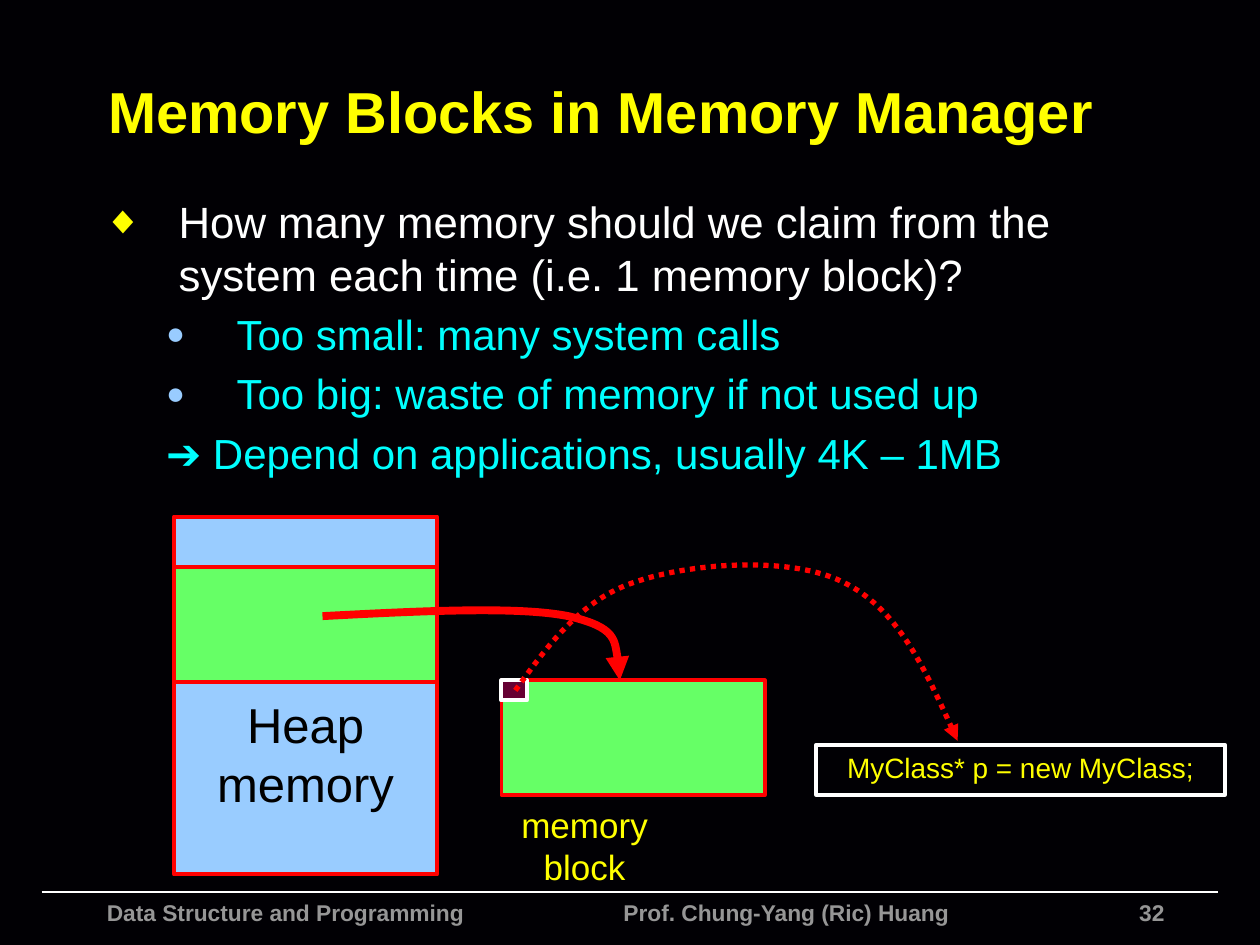
from dataclasses import dataclass

from pptx import Presentation
from pptx.dml.color import RGBColor
from pptx.enum.dml import MSO_LINE
from pptx.enum.shapes import MSO_CONNECTOR, MSO_SHAPE
from pptx.enum.text import MSO_ANCHOR as ANCHOR, PP_ALIGN as ALIGN
from pptx.oxml.ns import qn
from pptx.util import Inches, Pt
from lxml.etree import SubElement


@dataclass(frozen=True)
class Theme:
    font: str = "Arial"
    background: str = "010004"
    white: str = "FFFFFF"
    yellow: str = "FFFF00"
    cyan: str = "00FFFF"
    blue: str = "99CCFF"
    green: str = "66FF66"
    red: str = "FF0000"
    maroon: str = "660033"
    black: str = "000000"
    gray: str = "969696"
    title: int = 33
    body: int = 25
    sub: int = 24
    heap: int = 28
    label: int = 20
    code: int = 16
    footer: int = 13
    border: float = 2.25


T = Theme()


def rgb(value):
    return RGBColor.from_string(value)


def format_text(p, size, color, bold=False, align=ALIGN.LEFT):
    p.alignment = align
    for r in p.runs:
        r.font.name = T.font
        r.font.size = Pt(size)
        r.font.bold = bold
        r.font.color.rgb = rgb(color)


def set_text(sp, text, size, color, bold=False, align=ALIGN.LEFT, anchor=ANCHOR.TOP, inset=0.1):
    tf = sp.text_frame
    tf.word_wrap = True
    tf.vertical_anchor = anchor
    tf.margin_left = tf.margin_right = Inches(inset)
    tf.margin_top = tf.margin_bottom = Inches(0.05)
    tf.text = text
    for p in tf.paragraphs:
        format_text(p, size, color, bold, align)


def add_text(slide, box, text, size, color, **options):
    sp = slide.shapes.add_textbox(*map(Inches, box))
    set_text(sp, text, size, color, **options)
    return sp


def add_box(slide, box, fill, line):
    sp = slide.shapes.add_shape(MSO_SHAPE.RECTANGLE, *map(Inches, box))
    sp.shadow.inherit = False
    if fill:
        sp.fill.solid()
        sp.fill.fore_color.rgb = rgb(fill)
    else:
        sp.fill.background()
    sp.line.color.rgb = rgb(line)
    sp.line.width = Pt(T.border)
    return sp


def add_curve(slide, points, width, dash=None):
    """Draw a curved arrow: a start point, then three Bezier points per segment."""
    start, *rest = [(Inches(x), Inches(y)) for x, y in points]
    builder = slide.shapes.build_freeform(*start)
    builder.add_line_segments(rest, close=False)
    sp = builder.convert_to_shape()
    sp.shadow.inherit = False
    sp.fill.background()
    sp.line.color.rgb = rgb(T.red)
    sp.line.width = Pt(width)
    if dash:
        sp.line.dash_style = dash

    # Turn each group of three line steps into one cubic curve
    steps = list(sp._element.iter(qn("a:lnTo")))
    outline = steps[0].getparent()
    for i in range(0, len(steps), 3):
        curve = SubElement(outline, qn("a:cubicBezTo"))
        for step in steps[i:i + 3]:
            curve.append(step[0])
            outline.remove(step)

    ln = sp._element.spPr.find(qn("a:ln"))
    SubElement(ln, qn("a:tailEnd"), type="triangle")


def set_indent(p, left, hanging, bullet=None, color=None, percent=100):
    pPr = p._p.get_or_add_pPr()
    pPr.set("marL", str(Inches(left)))
    pPr.set("indent", str(-Inches(hanging)))
    if bullet:
        SubElement(SubElement(pPr, qn("a:buClr")), qn("a:srgbClr"), val=color)
        SubElement(pPr, qn("a:buSzPct"), val=str(percent * 1000))
        SubElement(pPr, qn("a:buFont"), typeface=T.font)
        SubElement(pPr, qn("a:buChar"), char=bullet)


def add_body(slide):
    question = "How many memory should we claim from the system each time (i.e. 1 memory block)?"
    answers = [
        ("Too small: many system calls", "●"),
        ("Too big: waste of memory if not used up", "●"),
        ("➔ Depend on applications, usually 4K – 1MB", None),
    ]
    sp = add_text(slide, (0.72, 1.5, 8.5, 2.4), question, T.body, T.white)
    tf = sp.text_frame
    tf.paragraphs[0].space_before = Pt(5)
    set_indent(tf.paragraphs[0], 0.6, 0.6, "◆", T.yellow, 90)
    for text, bullet in answers:
        p = tf.add_paragraph()
        p.text = text
        p.level = 1
        p.space_before = Pt(5)
        format_text(p, T.sub, T.cyan)
        set_indent(p, 1.06, 0.56, bullet, T.blue, 75)


def add_diagram(slide):
    heap_x, block_x, block_y = 1.38, 3.98, 5.4
    block_w, block_h = 2.09, 0.91

    # Heap with the claimed part
    heap = add_box(slide, (heap_x, 4.1, block_w, 2.84), T.blue, T.red)
    set_text(heap, "Heap\nmemory", T.heap, T.black, align=ALIGN.CENTER,
             anchor=ANCHOR.BOTTOM, inset=0.05)
    heap.text_frame.margin_bottom = Inches(0.49)
    add_box(slide, (heap_x, 4.5, block_w, block_h), T.green, T.red)

    # Memory block
    add_box(slide, (block_x, block_y, block_w, block_h), T.green, T.red)
    add_curve(slide, [(2.56, 4.89), (3.33, 4.85), (4.11, 4.81), (4.51, 4.89),
                      (4.9, 4.98), (4.91, 5.19), (4.92, 5.4)], 4.5)
    add_text(slide, (3.99, 6.33, 1.3, 0.77), "memory block", T.label, T.yellow,
             align=ALIGN.CENTER, inset=0.05)

    # Object inside the block and the code that creates it
    add_box(slide, (block_x, block_y, 0.2, 0.16), T.maroon, T.white)
    code = add_box(slide, (6.48, 5.91, 3.24, 0.4), None, T.white)
    set_text(code, "MyClass* p = new MyClass;", T.code, T.yellow,
             align=ALIGN.CENTER, inset=0.05)
    add_curve(slide, [(4.09, 5.48), (4.35, 5.12), (4.61, 4.76), (5.04, 4.62),
                      (5.47, 4.47), (6.27, 4.41), (6.69, 4.62),
                      (7.12, 4.83), (7.36, 5.35), (7.6, 5.88)], 3, MSO_LINE.ROUND_DOT)


def add_footer(slide):
    y = 7.08
    rule = slide.shapes.add_connector(
        MSO_CONNECTOR.STRAIGHT, Inches(0.33), Inches(y), Inches(9.67), Inches(y))
    rule.line.color.rgb = rgb(T.white)
    rule.line.width = Pt(1)
    SubElement(rule._element.spPr, qn("a:effectLst"))
    for x, width, text, align in [
        (0.75, 3.6, "Data Structure and Programming", ALIGN.LEFT),
        (4.85, 3.14, "Prof. Chung-Yang (Ric) Huang", ALIGN.LEFT),
        (8.34, 1, "32", ALIGN.RIGHT),
    ]:
        add_text(slide, (x, y, width, 0.42), text, T.footer, T.gray, bold=True, align=align)


def main():
    prs = Presentation()
    prs.slide_width, prs.slide_height = Inches(10), Inches(7.5)
    slide = prs.slides.add_slide(prs.slide_layouts[6])
    slide.background.fill.solid()
    slide.background.fill.fore_color.rgb = rgb(T.background)

    add_footer(slide)
    add_text(slide, (0.76, 0.37, 8.84, 1.01), "Memory Blocks in Memory Manager",
             T.title, T.yellow, bold=True, anchor=ANCHOR.MIDDLE)
    add_body(slide)
    add_diagram(slide)
    prs.save("out.pptx")


if __name__ == "__main__":
    main()
